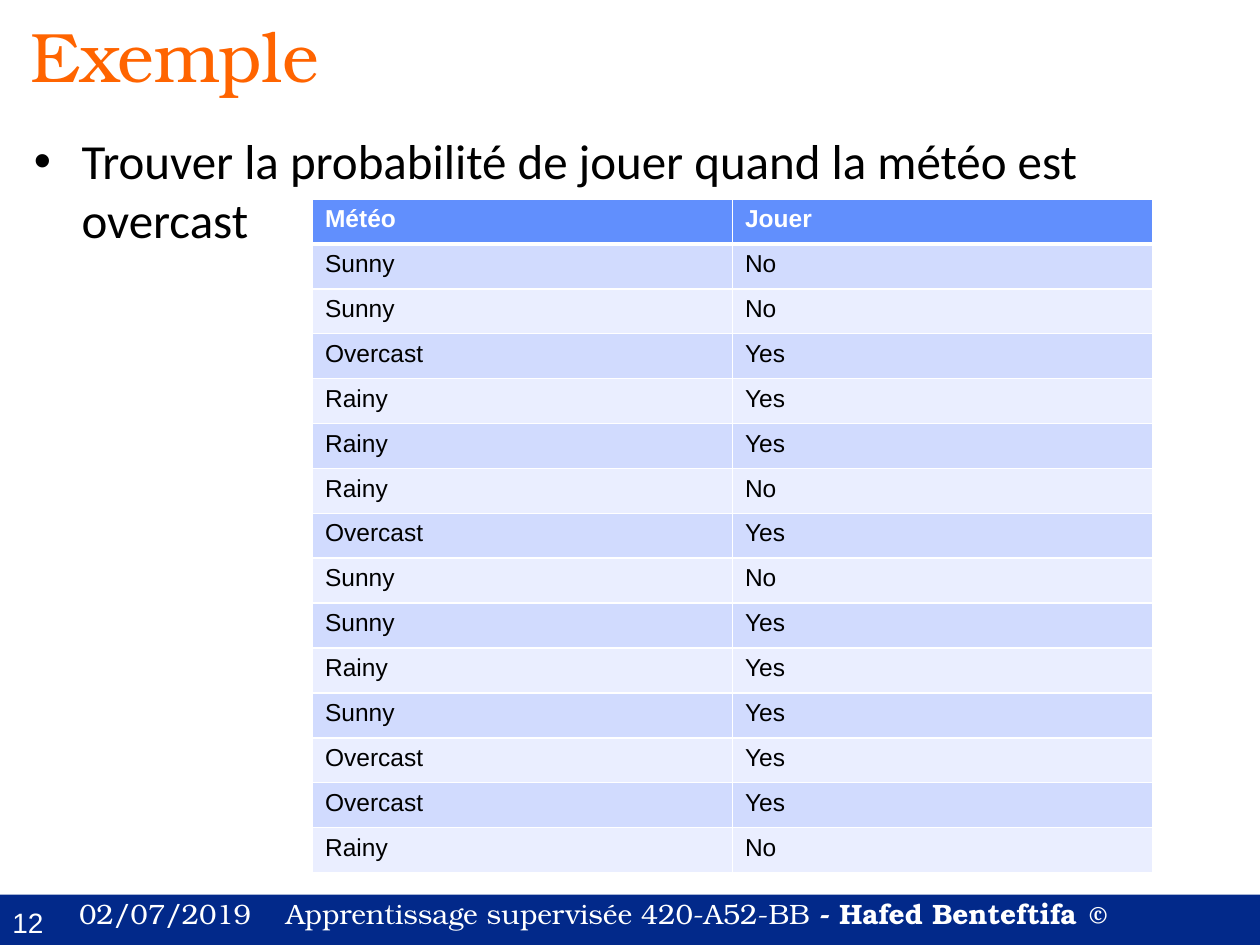
from lxml import etree
from pptx import Presentation
from pptx.dml.color import RGBColor
from pptx.enum.shapes import MSO_SHAPE
from pptx.oxml.ns import qn
from pptx.util import Inches, Pt

RECT = MSO_SHAPE.RECTANGLE
WIDE, HIGH = 10, 7.5
HUES = {
    "navy": "02298A", "orange": "FF6400", "white": "FFFFFF", "black": "000000",
    "head": "618FFD", "odd": "D1DBFE", "even": "EAEEFF",
}
SERIF, SANS, BODY, SIGN = "TeX Gyre Bonum", "Arial", "Calibri", "Cambria"
ROWS = [
    ("Météo", "Jouer"),
    ("Sunny", "No"), ("Sunny", "No"), ("Overcast", "Yes"), ("Rainy", "Yes"),
    ("Rainy", "Yes"), ("Rainy", "No"), ("Overcast", "Yes"), ("Sunny", "No"),
    ("Sunny", "Yes"), ("Rainy", "Yes"), ("Sunny", "Yes"), ("Overcast", "Yes"),
    ("Overcast", "Yes"), ("Rainy", "No"),
]


def color(name):
    return RGBColor.from_string(HUES[name])


def add_run(para, text, size, font, hue, bold=False):
    run = para.add_run()
    run.text = text
    run.font.size = Pt(size)
    run.font.name = font
    run.font.bold = bold
    run.font.color.rgb = color(hue)


def add_box(slide, left, top, width, height):
    """Add a wrapping text box and return its first paragraph."""
    box = slide.shapes.add_textbox(*map(Inches, (left, top, width, height)))
    box.text_frame.word_wrap = True
    return box.text_frame.paragraphs[0]


def add_bullet(para, indent):
    props = para._p.get_or_add_pPr()
    props.set("marL", str(Inches(indent)))
    props.set("indent", str(-Inches(indent)))
    etree.SubElement(props, qn("a:buFont"), typeface=SANS)
    etree.SubElement(props, qn("a:buChar"), char="•")


def add_tab(para, pos):
    stops = etree.SubElement(para._p.get_or_add_pPr(), qn("a:tabLst"))
    etree.SubElement(stops, qn("a:tab"), pos=str(Inches(pos)), algn="l")


def add_edge(cell, side, width):
    props = cell._tc.get_or_add_tcPr()
    line = etree.SubElement(props, qn("a:ln" + side), w=str(Pt(width)))
    fill = etree.SubElement(line, qn("a:solidFill"))
    etree.SubElement(fill, qn("a:srgbClr"), val=HUES["white"])


def add_cell(cell, text, row):
    """Fill one cell; a thick edge parts the header from the data."""
    edges = {"L": 1, "R": 1, "T": 3 if row == 1 else 1, "B": 3 if row == 0 else 1}
    for side, width in edges.items():
        add_edge(cell, side, width)
    cell.fill.solid()
    shade = "head" if row == 0 else ("even", "odd")[row % 2]
    cell.fill.fore_color.rgb = color(shade)
    hue = "black" if row else "white"
    add_run(cell.text_frame.paragraphs[0], text, 14, SANS, hue, row == 0)


def add_grid(slide, left, top, width, height):
    area = map(Inches, (left, top, width, height))
    grid = slide.shapes.add_table(len(ROWS), len(ROWS[0]), *area).table
    for row, texts in enumerate(ROWS):
        for col, text in enumerate(texts):
            add_cell(grid.cell(row, col), text, row)


def add_footer(slide):
    top = HIGH - 0.4
    bar = slide.shapes.add_shape(RECT, *map(Inches, (0, top, WIDE, 0.4)))
    bar.shadow.inherit = False
    bar.fill.solid()
    bar.fill.fore_color.rgb = color("navy")
    bar.line.fill.background()
    add_run(add_box(slide, 0, 7.14, 0.58, 0.36), "12", 16, SANS, "white")
    para = add_box(slide, 0.53, 7.07, WIDE - 0.53, 0.4)
    add_tab(para, 1.64)
    add_run(para, "02/07/2019\tApprentissage supervisée 420-A52-BB", 16, SERIF, "white")
    add_run(para, " - Hafed Benteftifa ", 16, SERIF, "white", True)
    add_run(para, "©", 16, SIGN, "white", True)


def main():
    deck = Presentation()
    deck.slide_width, deck.slide_height = Inches(WIDE), Inches(HIGH)
    slide = deck.slides.add_slide(deck.slide_layouts[6])
    add_footer(slide)
    add_run(add_box(slide, 0.14, 0.05, 9.68, 0.93), "Exemple", 40, SERIF, "orange")
    task = add_box(slide, 0.17, 0.99, 9.67, 1.18)
    add_bullet(task, 0.38)
    add_run(task, "Trouver la probabilité de jouer quand la météo est overcast",
            28, BODY, "black")
    add_grid(slide, 2.48, 1.58, WIDE * 2 / 3, 5.35)
    deck.save("out.pptx")


if __name__ == "__main__":
    main()
